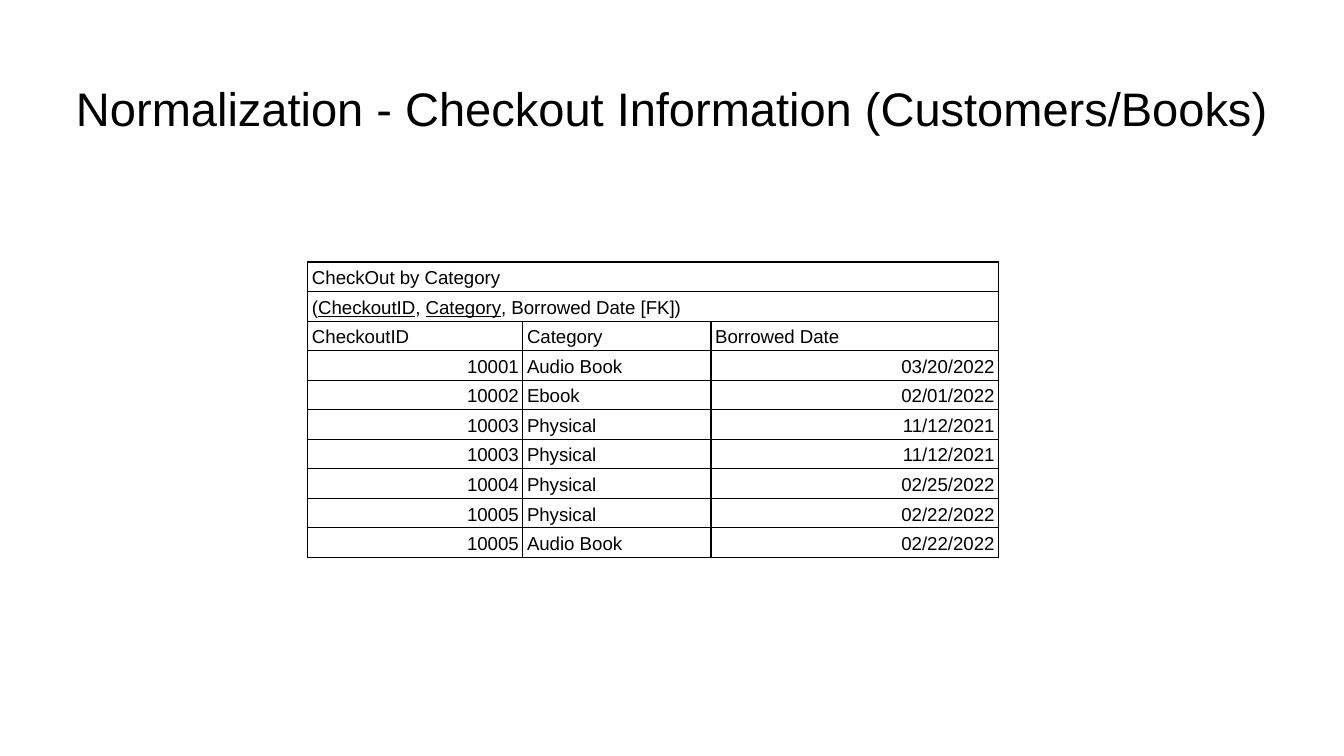
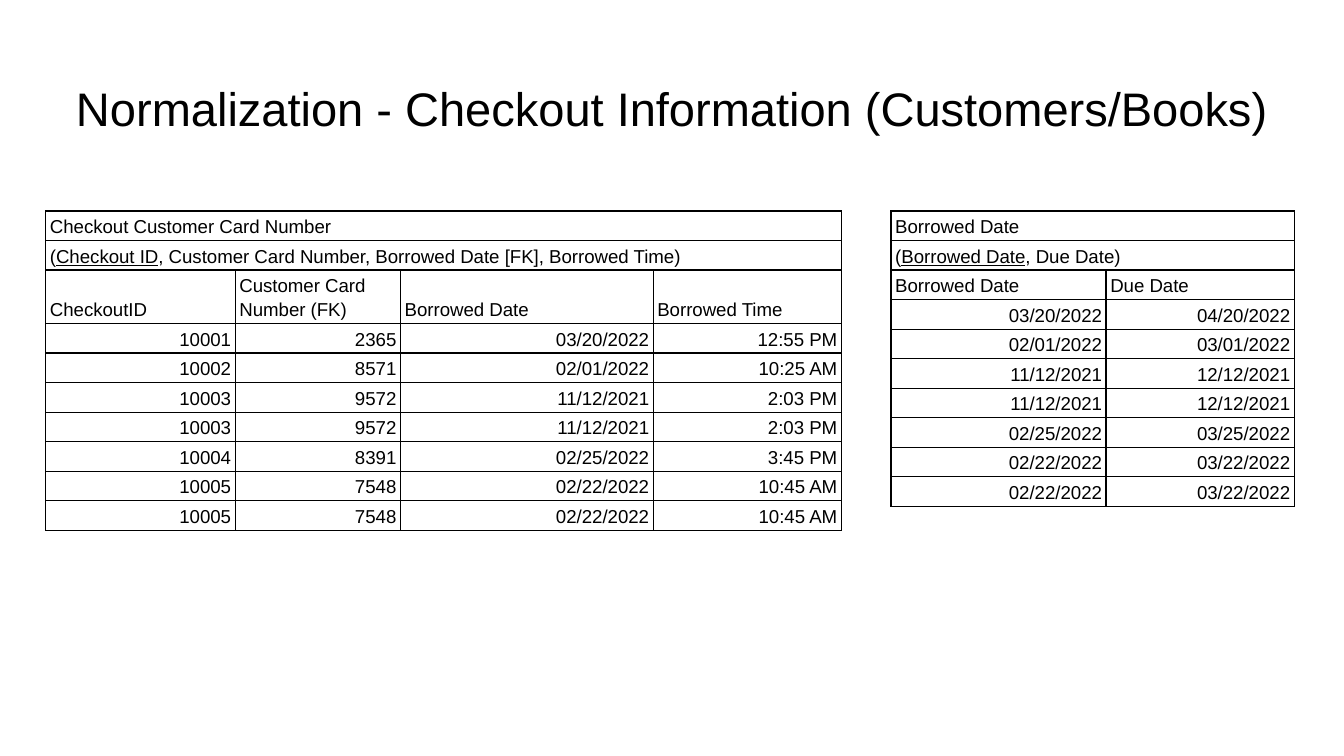
from dataclasses import dataclass

from lxml.etree import SubElement
from pptx import Presentation
from pptx.dml.color import RGBColor
from pptx.enum.text import MSO_ANCHOR, MSO_AUTO_SIZE, PP_ALIGN
from pptx.oxml.ns import qn
from pptx.util import Inches, Pt


@dataclass(frozen=True)
class Theme:
    font: str = "Arial"
    ink: str = "000000"
    paper: str = "FFFFFF"
    title_size: float = 25.2
    cell_size: float = 10
    border: float = 0.75


theme = Theme()
TITLE = "Normalization - Checkout Information (Customers/Books)"

# Table content: name, schema with _keys_ underlined, column heads, records
category = dict(
    left=2.29, top=1.95, cols=[1.6, 1.4, 2.14], row_h=0.22, head_h=0.22,
    name="CheckOut by Category",
    schema="(_CheckoutID_, _Category_, Borrowed Date [FK])",
    heads=["CheckoutID", "Category", "Borrowed Date"],
    records=[
        ["10001", "Audio Book", "03/20/2022"],
        ["10002", "Ebook", "02/01/2022"],
        ["10003", "Physical", "11/12/2021"],
        ["10003", "Physical", "11/12/2021"],
        ["10004", "Physical", "02/25/2022"],
        ["10005", "Physical", "02/22/2022"],
        ["10005", "Audio Book", "02/22/2022"],
    ])
card_number = dict(
    left=0.34, top=1.57, cols=[1.41, 1.23, 1.88, 1.4], row_h=0.22, head_h=0.36,
    name="Checkout Customer Card Number",
    schema="(_Checkout ID_, Customer Card Number, Borrowed Date [FK], Borrowed Time)",
    heads=["CheckoutID", "Customer Card Number (FK)", "Borrowed Date", "Borrowed Time"],
    records=[
        ["10001", "2365", "03/20/2022", "12:55 PM"],
        ["10002", "8571", "02/01/2022", "10:25 AM"],
        ["10003", "9572", "11/12/2021", "2:03 PM"],
        ["10003", "9572", "11/12/2021", "2:03 PM"],
        ["10004", "8391", "02/25/2022", "3:45 PM"],
        ["10005", "7548", "02/22/2022", "10:45 AM"],
        ["10005", "7548", "02/22/2022", "10:45 AM"],
    ])
due_date = dict(
    left=6.63, top=1.57, cols=[1.6, 1.4], row_h=0.17, head_h=0.17,
    name="Borrowed Date",
    schema="(_Borrowed Date_, Due Date)",
    heads=["Borrowed Date", "Due Date"],
    records=[
        ["03/20/2022", "04/20/2022"],
        ["02/01/2022", "03/01/2022"],
        ["11/12/2021", "12/12/2021"],
        ["11/12/2021", "12/12/2021"],
        ["02/25/2022", "03/25/2022"],
        ["02/22/2022", "03/22/2022"],
        ["02/22/2022", "03/22/2022"],
    ])


def write(tf, text, size, align=PP_ALIGN.LEFT, spacing=None):
    """Write one paragraph; parts between underscores are underlined."""
    p = tf.paragraphs[0]
    p.alignment = align
    p.line_spacing = spacing
    for i, part in enumerate(text.split("_")):
        r = p.add_run()
        r.text = part
        r.font.name = theme.font
        r.font.size = Pt(size)
        r.font.color.rgb = RGBColor.from_string(theme.ink)
        if i % 2:
            r.font.underline = True


def add_borders(cell):
    tcPr = cell._tc.get_or_add_tcPr()
    for side in ("lnL", "lnR", "lnT", "lnB"):
        ln = SubElement(tcPr, qn(f"a:{side}"), w=str(Pt(theme.border)))
        fill = SubElement(ln, qn("a:solidFill"))
        SubElement(fill, qn("a:srgbClr"), val=theme.ink)


# 16:9 page
prs = Presentation()
prs.slide_width = Inches(10)
prs.slide_height = Inches(10 * 9 / 16)

for tables in ([category], [card_number, due_date]):
    s = prs.slides.add_slide(prs.slide_layouts[5])
    s.background.fill.solid()
    s.background.fill.fore_color.rgb = RGBColor.from_string(theme.paper)

    # Title
    title = s.shapes.title
    title.left, title.top = Inches(0.34), Inches(0.49)
    title.width, title.height = Inches(9.32), Inches(0.63)
    tf = title.text_frame
    tf.margin_left = tf.margin_right = tf.margin_top = tf.margin_bottom = Inches(0.1)
    tf.vertical_anchor = MSO_ANCHOR.MIDDLE
    tf.auto_size = MSO_AUTO_SIZE.NONE
    tf.word_wrap = True
    write(tf, TITLE, theme.title_size, align=PP_ALIGN.CENTER)

    # Tables
    for t in tables:
        n = len(t["cols"])
        blank = [""] * (n - 1)
        rows = [[t["name"], *blank], [t["schema"], *blank], t["heads"], *t["records"]]
        heights = [t["row_h"]] * len(rows)
        heights[2] = t["head_h"]
        tbl = s.shapes.add_table(
            len(rows), n, Inches(t["left"]), Inches(t["top"]),
            Inches(sum(t["cols"])), Inches(sum(heights))).table
        tbl.first_row = tbl.horz_banding = False
        for col, width in zip(tbl.columns, t["cols"]):
            col.width = Inches(width)
        for row, height in zip(tbl.rows, heights):
            row.height = Inches(height)
        for i in (0, 1):
            tbl.cell(i, 0).merge(tbl.cell(i, n - 1))

        for i, row in enumerate(rows):
            for j, text in enumerate(row):
                cell = tbl.cell(i, j)
                cell.margin_left = cell.margin_right = Inches(1 / 32)
                cell.margin_top = cell.margin_bottom = Inches(1 / 48)
                cell.vertical_anchor = MSO_ANCHOR.BOTTOM
                add_borders(cell)
                cell.fill.background()
                if text:
                    # Numbers, dates and times go right
                    align = PP_ALIGN.RIGHT if text[0].isdigit() else PP_ALIGN.LEFT
                    write(cell.text_frame, text, theme.cell_size, align=align, spacing=1.15)

prs.save("out.pptx")
